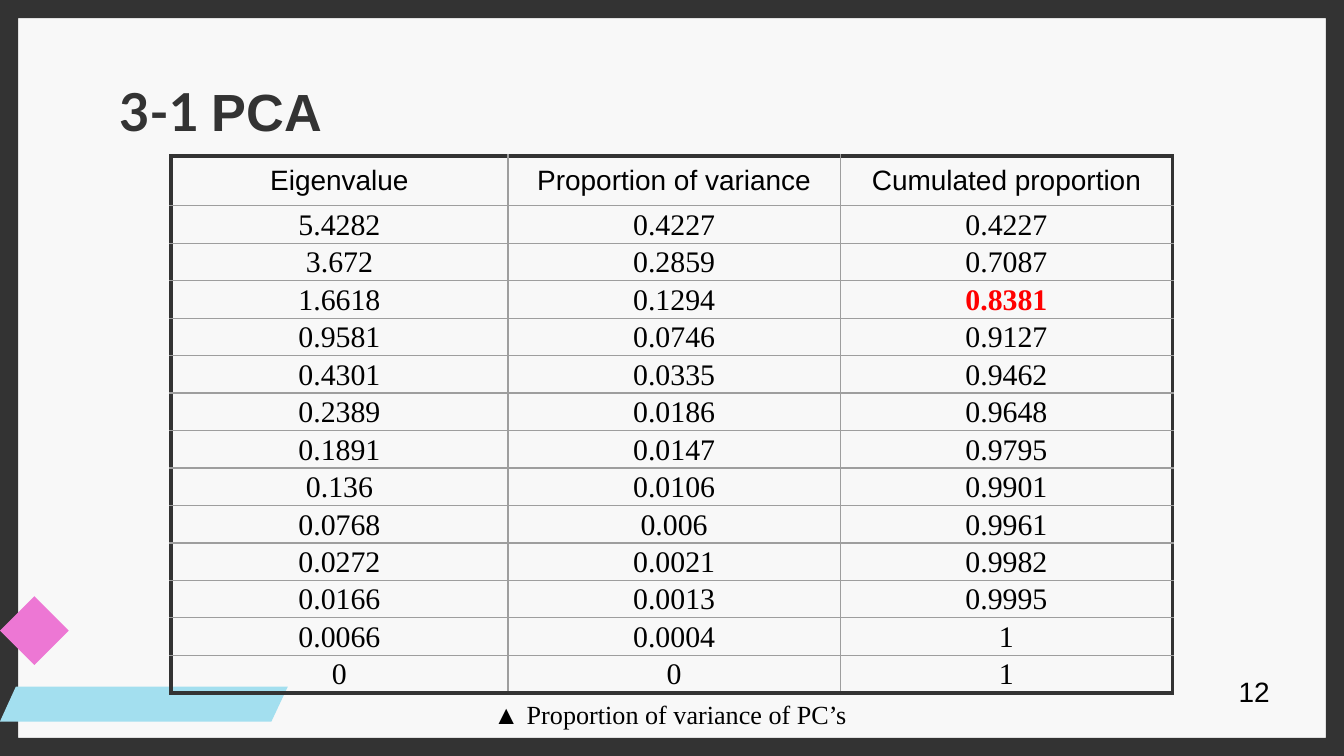
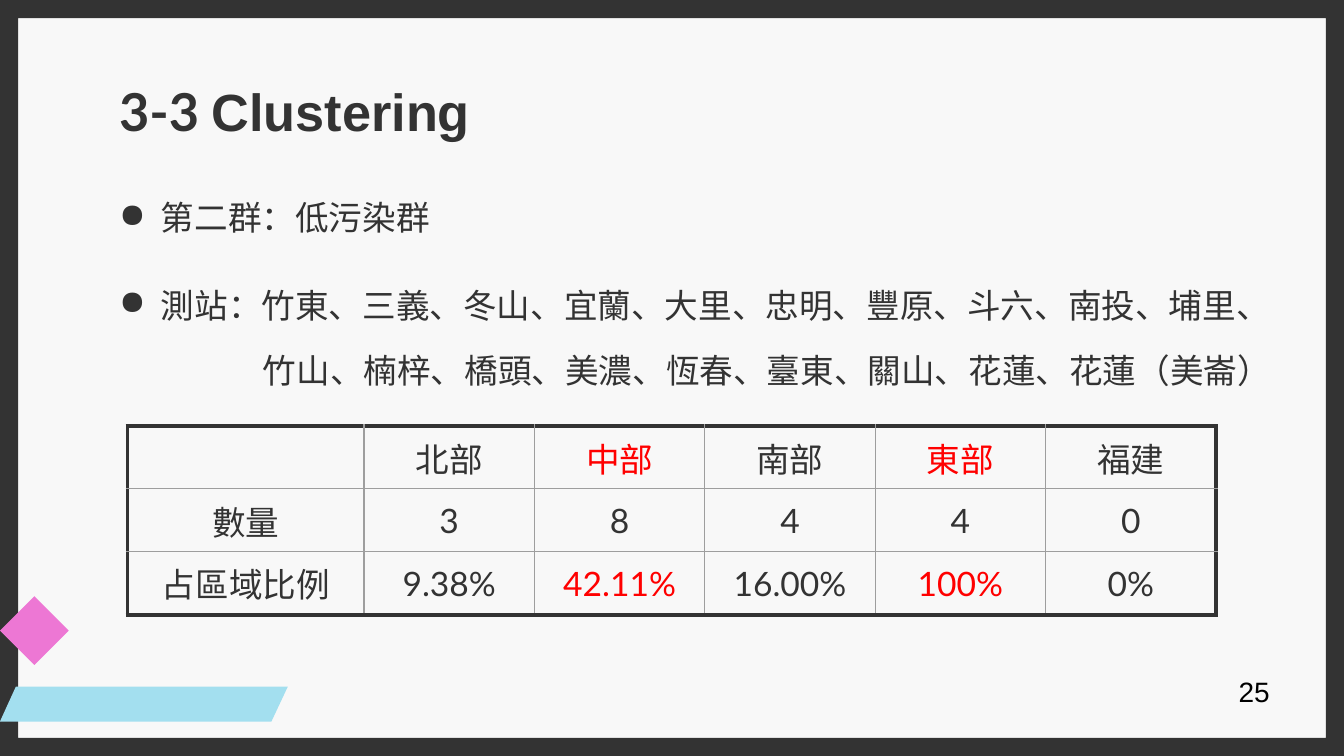
from lxml.etree import SubElement
from pptx import Presentation
from pptx.dml.color import RGBColor
from pptx.enum.shapes import MSO_SHAPE
from pptx.enum.text import MSO_ANCHOR, MSO_AUTO_SIZE, PP_ALIGN
from pptx.oxml.ns import qn
from pptx.util import Cm, Pt

COLORS = {
    "paper": "F8F8F8",
    "ink": "333333",
    "sky": "A3DFEF",
    "pink": "ED77D4",
    "grid": "9E9E9E",
    "black": "000000",
    "highlight": "FF0000",
}


def add_run(paragraph, text, size, font, color, bold=False):
    run = paragraph.add_run()
    run.text = text
    run.font.size = Pt(size)
    run.font.name = font
    run.font.bold = bold
    run.font.color.rgb = RGBColor.from_string(COLORS[color])


def add_bordered_table(slide, left, top, widths, heights):
    table = slide.shapes.add_table(
        len(heights), len(widths), Cm(left), Cm(top), Cm(sum(widths)), Cm(sum(heights))
    ).table
    table.first_row = False
    table.horz_banding = False
    for column, width in zip(table.columns, widths):
        column.width = Cm(width)
    for row, height in zip(table.rows, heights):
        row.height = Cm(height)
    last_row, last_column = len(heights) - 1, len(widths) - 1
    for r, row in enumerate(table.rows):
        for c, cell in enumerate(row.cells):
            cell.vertical_anchor = MSO_ANCHOR.MIDDLE
            cell.text_frame.paragraphs[0].alignment = PP_ALIGN.CENTER
            outer_sides = {
                "a:lnL": c == 0,
                "a:lnR": c == last_column,
                "a:lnT": r == 0,
                "a:lnB": r == last_row,
            }
            properties = cell._tc.get_or_add_tcPr()
            for side, outer in outer_sides.items():
                border = SubElement(properties, qn(side), w=str(Pt(2.25 if outer else 0.75)))
                solid = SubElement(border, qn("a:solidFill"))
                SubElement(solid, qn("a:srgbClr"), val=COLORS["ink" if outer else "grid"])
    return table


presentation = Presentation()
presentation.slide_width = Cm(25.4)
presentation.slide_height = Cm(14.29)

ornaments = [
    ("sky", [(5.13, 13.64), (0, 13.64), (0.3, 12.98), (5.44, 12.98)]),
    ("pink", [(0, 11.92), (0.65, 11.27), (1.3, 11.92), (0.65, 12.57)]),
]
slides = []
for section, topic, page in [("3-1 ", "PCA", "12"), ("3-3 ", "Clustering", "25")]:
    slide = presentation.slides.add_slide(presentation.slide_layouts[5])
    slides.append(slide)
    slide.background.fill.solid()
    slide.background.fill.fore_color.rgb = RGBColor.from_string(COLORS["paper"])

    edge = slide.shapes.add_shape(
        MSO_SHAPE.FRAME, 0, 0, presentation.slide_width, presentation.slide_height
    )
    edge.adjustments[0] = 0.024
    decorations = [(edge, "ink")]
    for color, corners in ornaments:
        points = [(Cm(x), Cm(y)) for x, y in corners]
        outline = slide.shapes.build_freeform(*points[0])
        outline.add_line_segments(points[1:])
        decorations.append((outline.convert_to_shape(), color))
    for decoration, color in decorations:
        decoration.shadow.inherit = False
        decoration.fill.solid()
        decoration.fill.fore_color.rgb = RGBColor.from_string(COLORS[color])
        decoration.line.fill.background()

    page_number = slide.shapes.add_textbox(Cm(23.16), Cm(12.62), Cm(1.17), Cm(0.89)).text_frame
    page_number.word_wrap = False
    page_number.auto_size = MSO_AUTO_SIZE.SHAPE_TO_FIT_TEXT
    add_run(page_number.paragraphs[0], page, 15, "Arial", "black")

    title = slide.shapes.title
    title.left, title.top, title.width, title.height = Cm(2), Cm(1.24), Cm(21.41), Cm(1.7)
    heading = title.text_frame
    heading.auto_size = MSO_AUTO_SIZE.NONE
    heading.vertical_anchor = MSO_ANCHOR.MIDDLE
    heading.margin_left = heading.margin_right = Cm(0.25)
    heading.margin_top = heading.margin_bottom = Cm(0.25)
    heading.paragraphs[0].alignment = PP_ALIGN.LEFT
    add_run(heading.paragraphs[0], section, 28, "Lato", "ink", True)
    add_run(heading.paragraphs[0], topic, 28, "Arial", "ink", True)

pca_slide, clustering_slide = slides

caption = pca_slide.shapes.add_textbox(Cm(8.94), Cm(13.08), Cm(7.52), Cm(0.86)).text_frame
caption.word_wrap = False
caption.auto_size = MSO_AUTO_SIZE.SHAPE_TO_FIT_TEXT
add_run(caption.paragraphs[0], " ▲ ", 14, "Arial", "black")
add_run(caption.paragraphs[0], "Proportion of variance of PC’s", 14, "Times New Roman", "black")

variance_rows = [
    ("Eigenvalue", "Proportion of variance", "Cumulated proportion"),
    ("5.4282", "0.4227", "0.4227"),
    ("3.672", "0.2859", "0.7087"),
    ("1.6618", "0.1294", "0.8381"),
    ("0.9581", "0.0746", "0.9127"),
    ("0.4301", "0.0335", "0.9462"),
    ("0.2389", "0.0186", "0.9648"),
    ("0.1891", "0.0147", "0.9795"),
    ("0.136", "0.0106", "0.9901"),
    ("0.0768", "0.006", "0.9961"),
    ("0.0272", "0.0021", "0.9982"),
    ("0.0166", "0.0013", "0.9995"),
    ("0.0066", "0.0004", "1"),
    ("0", "0", "1"),
]
variance_table = add_bordered_table(
    pca_slide, 3.23, 2.95, [6.37, 6.28, 6.28], [0.94] + [0.7] * 13
)
for r, values in enumerate(variance_rows):
    for c, value in enumerate(values):
        cell = variance_table.cell(r, c)
        cell.fill.background()
        cell.margin_left = cell.margin_right = Cm(0.03 if r else 0.18)
        cell.margin_top = Cm(0.03 if r else 0)
        cell.margin_bottom = 0
        size, font = (16, "Times New Roman") if r else (15, "Arial")
        chosen = value == "0.8381"
        color = "highlight" if chosen else "black"
        add_run(cell.text_frame.paragraphs[0], value, size, font, color, chosen)

cluster_notes = clustering_slide.shapes.add_textbox(Cm(2), Cm(3), Cm(22.86), Cm(9.4)).text_frame
cluster_notes.word_wrap = True
cluster_notes.margin_left = cluster_notes.margin_right = Cm(0.25)
cluster_notes.margin_top = cluster_notes.margin_bottom = Cm(0.25)
note_lines = [
    ("第二群：低污染群", True, 12),
    ("測站：竹東、三義、冬山、宜蘭、大里、忠明、豐原、斗六、南投、埔里、", True, 0),
    ("竹山、楠梓、橋頭、美濃、恆春、臺東、關山、花蓮、花蓮（美崙）", False, 0),
]
for i, (text, bulleted, space_after) in enumerate(note_lines):
    note = cluster_notes.add_paragraph() if i else cluster_notes.paragraphs[0]
    properties = note._p.get_or_add_pPr()
    properties.set("marL", str(Cm(0.79 if bulleted else 2.72)))
    properties.set("indent", str(Cm(-0.79 if bulleted else 0)))
    if bulleted:
        bullet_color = SubElement(properties, qn("a:buClr"))
        SubElement(bullet_color, qn("a:srgbClr"), val=COLORS["ink"])
        SubElement(properties, qn("a:buChar"), char="●")
    note.line_spacing = Pt(35)
    note.space_after = Pt(space_after)
    add_run(note, text, 18, "Lato", "ink")

region_rows = [
    ("", "北部", "中部", "南部", "東部", "福建"),
    ("數量", "3", "8", "4", "4", "0"),
    ("占區域比例", "9.38%", "42.11%", "16.00%", "100%", "0%"),
]
highlighted = {"中部", "東部", "42.11%", "100%"}
region_table = add_bordered_table(
    clustering_slide, 2.41, 8.05, [4.47] + [3.22] * 5, [1.19] * 3
)
for r, values in enumerate(region_rows):
    for c, value in enumerate(values):
        cell = region_table.cell(r, c)
        cell.fill.solid()
        cell.fill.fore_color.rgb = RGBColor.from_string(COLORS["paper"])
        if value:
            color = "highlight" if value in highlighted else "ink"
            add_run(cell.text_frame.paragraphs[0], value, 18, "Lato", color)

presentation.save("out.pptx")
